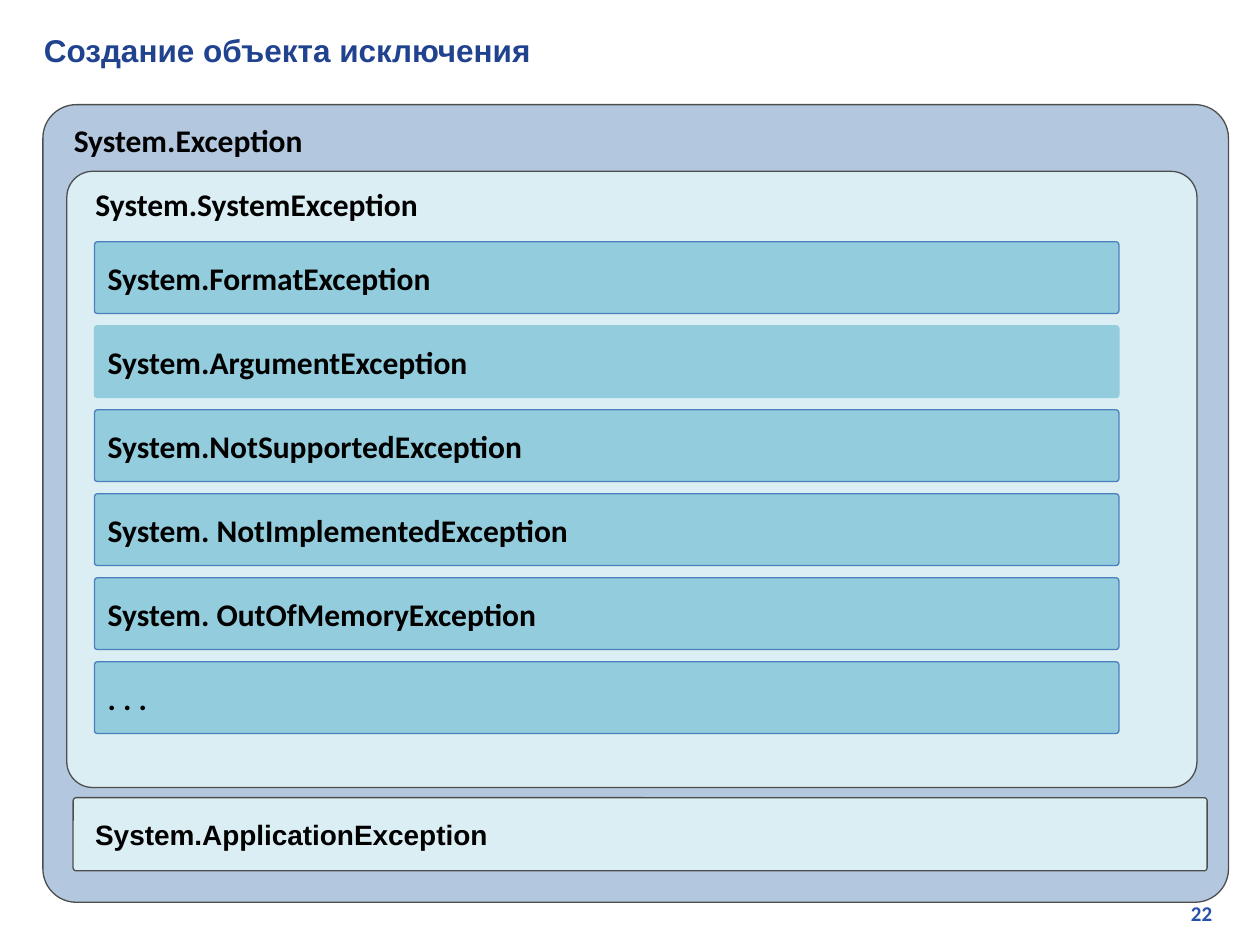
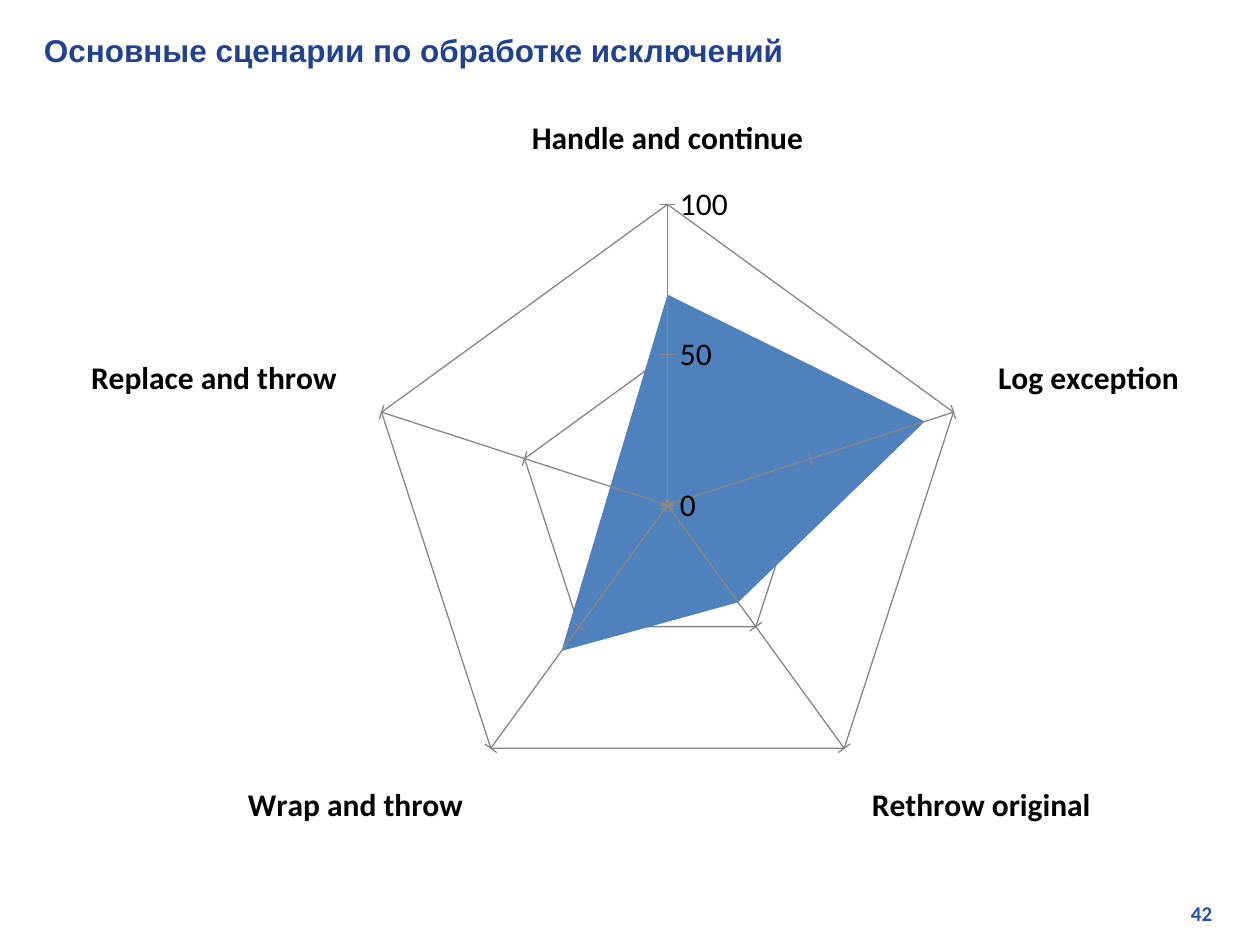
import pptx
import pptx.chart.data
import pptx.dml.color
import pptx.enum.chart
import pptx.enum.shapes
import pptx.enum.text
import pptx.util

Pt = pptx.util.Pt
ALIGN = pptx.enum.text.PP_ALIGN
ANCHOR = pptx.enum.text.MSO_ANCHOR
TICK = pptx.enum.chart.XL_TICK_MARK

BLACK, PANEL_EDGE, BAR_EDGE = "000000", "4D4D4D", "4B7EBC"
BASE_FILL, BRANCH_FILL, BAR_FILL = "B3C8DF", "DBEEF4", "93CDDD"
SERIES_FILL, GRID_LINE = "4F81BD", "868686"

TITLE_FONT = {"name": "Arial", "size": 18, "bold": True, "color": "21438F"}
NUMBER_FONT = {"name": "Calibri", "size": 12, "bold": True, "color": "2750AB"}
CLASS_FONT = {"name": "Calibri", "size": 18, "bold": True, "color": BLACK}
APPLICATION_FONT = {**CLASS_FONT, "name": "Arial", "size": 16}
AXIS_FONT = {**CLASS_FONT, "bold": False}

CORNER = 0.042
LABEL_INDENT = 5
BAR_TOP, BAR_PITCH = 138.2, 48
SYSTEM_EXCEPTIONS = [
    "System.FormatException",
    "System.ArgumentException",
    "System.NotSupportedException",
    "System. NotImplementedException",
    "System. OutOfMemoryException",
    ". . .",
]
UNOUTLINED = "System.ArgumentException"
SCENARIOS = {
    "Handle and continue": 70,
    "Log exception": 90,
    "Rethrow original": 40,
    "Wrap and throw": 60,
    "Replace and throw": 20,
}


def rgb(hex_color):
    return pptx.dml.color.RGBColor.from_string(hex_color)


def set_all(target, values):
    for name, value in values.items():
        setattr(target, name, value)


def style_font(font, style):
    set_all(font, {"name": style["name"], "size": Pt(style["size"]), "bold": style["bold"]})
    font.color.rgb = rgb(style["color"])


def style_line(line, color):
    line.width = Pt(0.75)
    line.color.rgb = rgb(color)


def write(shape, text, style, align=ALIGN.LEFT, anchor=ANCHOR.TOP, indent=0):
    frame = shape.text_frame
    set_all(frame, {"word_wrap": True, "vertical_anchor": anchor})
    paragraph = frame.paragraphs[0]
    paragraph.alignment = align
    if indent:
        paragraph._p.get_or_add_pPr().set("marL", str(Pt(indent)))
    run = paragraph.add_run()
    run.text = text
    style_font(run.font, style)


def add_label(slide, box, text, style, **layout):
    write(slide.shapes.add_textbox(*map(Pt, box)), text, style, **layout)


def add_page(deck, title, number):
    """Add a blank slide with the common heading and page number."""
    slide = deck.slides.add_slide(deck.slide_layouts[6])
    add_label(slide, (547.2, 511.2, 152.6, 21.6), number, NUMBER_FONT, align=ALIGN.RIGHT)
    add_label(slide, (18, 14.4, 686.9, 28.8), title, TITLE_FONT, anchor=ANCHOR.MIDDLE)
    return slide


def add_class_box(slide, box, text, fill, edge, style=CLASS_FONT, **layout):
    class_box = slide.shapes.add_shape(
        pptx.enum.shapes.MSO_SHAPE.ROUNDED_RECTANGLE, *map(Pt, box))
    class_box.adjustments[0] = CORNER
    class_box.shadow.inherit = False
    class_box.fill.solid()
    class_box.fill.fore_color.rgb = rgb(fill)
    style_line(class_box.line, edge)
    write(class_box, text, style, **layout)
    return class_box


def add_hierarchy(slide):
    """Nest the exception classes inside their base classes."""
    add_class_box(slide, (24.5, 59.8, 677.5, 455.8), "System.Exception",
                  BASE_FILL, PANEL_EDGE, indent=LABEL_INDENT)
    add_class_box(slide, (38.2, 97.9, 645.8, 352.1), "System.SystemException",
                  BRANCH_FILL, PANEL_EDGE, indent=LABEL_INDENT)
    for row, name in enumerate(SYSTEM_EXCEPTIONS):
        edge = BAR_FILL if name == UNOUTLINED else BAR_EDGE
        bar = add_class_box(slide, (54, BAR_TOP + row * BAR_PITCH, 585.4, 41), name,
                            BAR_FILL, edge, anchor=ANCHOR.MIDDLE)
        margins = ("margin_left", "margin_top", "margin_right", "margin_bottom")
        set_all(bar.text_frame, dict.fromkeys(margins, Pt(7.2)))
    add_class_box(slide, (41.8, 455.8, 648, 41.8), "System.ApplicationException",
                  BRANCH_FILL, PANEL_EDGE, APPLICATION_FONT,
                  anchor=ANCHOR.MIDDLE, indent=LABEL_INDENT)


def add_scenario_radar(slide):
    scenario_data = pptx.chart.data.CategoryChartData()
    scenario_data.categories = list(SCENARIOS)
    scenario_data.add_series("Series 1", list(SCENARIOS.values()))
    box = map(Pt, (23.8, 59.8, 678.2, 419.8))
    radar = slide.shapes.add_chart(
        pptx.enum.chart.XL_CHART_TYPE.RADAR_FILLED, *box, scenario_data).chart
    set_all(radar, {"has_title": False, "has_legend": False})
    style_font(radar.font, AXIS_FONT)

    area = radar.plots[0].series[0]
    area.format.fill.solid()
    area.format.fill.fore_color.rgb = rgb(SERIES_FILL)
    area.format.line.fill.background()

    axes = [(radar.category_axis, CLASS_FONT, TICK.OUTSIDE),
            (radar.value_axis, AXIS_FONT, TICK.CROSS)]
    for axis, style, tick in axes:
        set_all(axis, {"has_major_gridlines": True, "major_tick_mark": tick,
                       "minor_tick_mark": TICK.NONE})
        style_font(axis.tick_labels.font, style)
        style_line(axis.format.line, GRID_LINE)
        style_line(axis.major_gridlines.format.line, GRID_LINE)
    set_all(radar.value_axis, {"minimum_scale": 0, "maximum_scale": 100, "major_unit": 50})
    set_all(radar.value_axis.tick_labels,
            {"number_format": "General", "number_format_is_linked": False})


def main():
    deck = pptx.Presentation()
    set_all(deck, {"slide_width": Pt(720), "slide_height": Pt(540)})
    add_hierarchy(add_page(deck, "Создание объекта исключения", "22"))
    add_scenario_radar(add_page(deck, "Основные сценарии по обработке исключений", "42"))
    deck.save("out.pptx")


if __name__ == "__main__":
    main()
